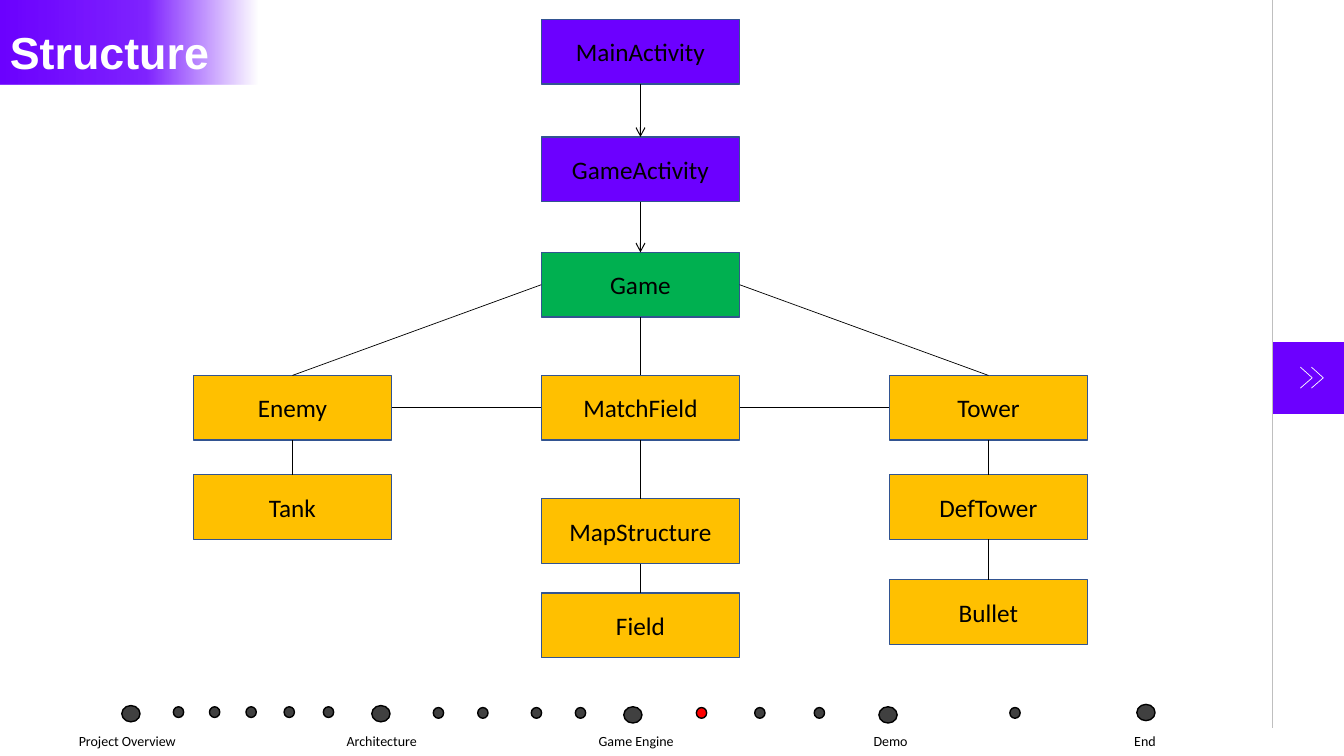
from lxml import etree
from pptx import Presentation
from pptx.dml.color import RGBColor
from pptx.enum.shapes import MSO_CONNECTOR as Line, MSO_SHAPE as Preset
from pptx.enum.text import MSO_ANCHOR as Anchor, PP_ALIGN as Align
from pptx.oxml import parse_xml
from pptx.oxml.ns import nsdecls, qn
from pptx.util import Cm, Pt

THEME = {
    "purple": "6C00FF", "green": "00B050", "amber": "FFC000", "border": "325491",
    "black": "000000", "white": "FFFFFF", "dot": "404040", "current": "FF0000",
    "divider": "BFBFBF", "heading": "Arial", "body": "Calibri",
    "title_size": 32, "class_size": 18, "section_size": 10,
    "thin": 0.5, "arrow": 0.75, "outline": 1,
}

TITLE = "Structure"
CLASSES = [
    ("MainActivity", 1, 0.49, "purple"),
    ("GameActivity", 1, 3.45, "purple"),
    ("Game", 1, 6.36, "green"),
    ("MatchField", 1, 9.46, "amber"),
    ("MapStructure", 1, 12.57, "amber"),
    ("Field", 1, 14.94, "amber"),
    ("Enemy", 0, 9.46, "amber"),
    ("Tank", 0, 11.96, "amber"),
    ("Tower", 2, 9.46, "amber"),
    ("DefTower", 2, 11.96, "amber"),
    ("Bullet", 2, 14.61, "amber"),
]
TOP, LEFT, BOTTOM, RIGHT = range(4)
LINKS = [
    ("MainActivity", BOTTOM, "GameActivity", TOP, True),
    ("GameActivity", BOTTOM, "Game", TOP, True),
    ("Game", BOTTOM, "MatchField", TOP, False),
    ("Game", LEFT, "Enemy", TOP, False),
    ("Game", RIGHT, "Tower", TOP, False),
    ("MatchField", LEFT, "Enemy", RIGHT, False),
    ("MatchField", RIGHT, "Tower", LEFT, False),
    ("MatchField", BOTTOM, "MapStructure", TOP, False),
    ("MapStructure", BOTTOM, "Field", TOP, False),
    ("Enemy", BOTTOM, "Tank", TOP, False),
    ("Tower", BOTTOM, "DefTower", TOP, False),
    ("DefTower", BOTTOM, "Bullet", TOP, False),
]
SECTIONS = ["Project Overview", "Architecture", "Game Engine", "Demo", "End"]
SECTION_DOTS = [(3.07, 17.78), (9.37, 17.78), (15.72, 17.81), (22.15, 17.81), (28.65, 17.75)]
PAGE_DOTS = [
    (17.81, [4.37, 5.28, 6.2, 7.16, 8.15]),
    (17.83, [10.92, 12.04, 13.39, 14.5, 17.55, 19.02, 20.52, 25.45]),
]
CURRENT_DOT = 17.55
FADE = [(0, "purple", 100), (57, "purple", 86), (100, "purple", 0)]

PAGE_WIDTH, PAGE_HEIGHT = 33.87, 19.05
SIDE_LEFT, BUTTON_TOP, BUTTON_SIZE = 32.06, 8.62, 1.81
BOX_WIDTH, BOX_HEIGHT, FIRST_COLUMN, COLUMN_STEP = 5, 1.63, 4.87, 8.77


def color(name):
    return RGBColor.from_string(THEME[name])


def add_box(page, preset, place, fill, border=None):
    box = page.shapes.add_shape(preset, *map(Cm, place))
    box.shadow.inherit = False
    box.fill.solid()
    box.fill.fore_color.rgb = color(fill)
    if border:
        box.line.color.rgb = color(border)
        box.line.width = Pt(THEME["outline"])
    else:
        box.line.fill.background()
    return box


def add_text(frame, text, face, size, ink, bold=False, align=Align.CENTER):
    para = frame.paragraphs[0]
    para.alignment = align
    span = para.add_run()
    span.text = text
    formats = {"name": THEME[face], "size": Pt(THEME[size]), "bold": bold}
    for key, value in formats.items():
        setattr(span.font, key, value)
    span.font.color.rgb = color(ink)


def add_line(page, ends, ink, weight, arrow=False):
    line = page.shapes.add_connector(Line.STRAIGHT, *map(Cm, ends))
    line.line.color.rgb = color(ink)
    line.line.width = Pt(THEME[weight])
    etree.SubElement(line._element.spPr, qn("a:effectLst"))
    if arrow:
        etree.SubElement(line.line._get_or_add_ln(), qn("a:tailEnd"), type="arrow")
    return line


def add_side(page):
    add_box(page, Preset.RECTANGLE, (SIDE_LEFT, BUTTON_TOP, BUTTON_SIZE, BUTTON_SIZE), "purple")
    for left in (32.77, 33.05):
        for outer in (9.25, 9.78):
            add_line(page, (left, outer, left + 0.3, 9.52), "white", "thin")
    add_line(page, (SIDE_LEFT, 0, SIDE_LEFT, PAGE_HEIGHT), "divider", "thin")


def add_title(page):
    band = add_box(page, Preset.RECTANGLE, (0, 0, 6.48, 2.13), "purple")
    stops = "".join(
        f'<a:gs pos="{spot * 1000}"><a:srgbClr val="{THEME[name]}">'
        f'<a:alpha val="{alpha * 1000}"/></a:srgbClr></a:gs>'
        for spot, name, alpha in FADE
    )
    gradient = parse_xml(
        f'<a:gradFill {nsdecls("a")} rotWithShape="1"><a:gsLst>{stops}</a:gsLst>'
        '<a:lin ang="0" scaled="0"/></a:gradFill>'
    )
    properties = band._element.spPr
    properties.replace(properties.find(qn("a:solidFill")), gradient)
    title = page.shapes.add_textbox(*map(Cm, (0, 0.49, 5.97, 1.63)))
    title.text_frame.word_wrap = True
    add_text(title.text_frame, TITLE, "heading", "title_size", "white", True, Align.LEFT)


def add_diagram(page):
    boxes = {}
    for name, column, top, fill in CLASSES:
        place = (FIRST_COLUMN + column * COLUMN_STEP, top, BOX_WIDTH, BOX_HEIGHT)
        box = add_box(page, Preset.RECTANGLE, place, fill, "border")
        box.text_frame.vertical_anchor = Anchor.MIDDLE
        add_text(box.text_frame, name, "body", "class_size", "black")
        boxes[name] = box
    for source, source_side, target, target_side, arrow in LINKS:
        line = add_line(page, (0, 0, 0, 0), "black", "arrow" if arrow else "thin", arrow)
        line.begin_connect(boxes[source], source_side)
        line.end_connect(boxes[target], target_side)


def add_progress(page):
    for left, top in SECTION_DOTS:
        add_box(page, Preset.OVAL, (left, top, 0.46, 0.41), "dot", "black")
    for top, lefts in PAGE_DOTS:
        for left in lefts:
            fill = "current" if left == CURRENT_DOT else "dot"
            add_box(page, Preset.OVAL, (left, top, 0.26, 0.27), fill, "black")
    place = (0, 18.36, SIDE_LEFT, 0.69)
    table = page.shapes.add_table(1, len(SECTIONS), *map(Cm, place)).table
    table.first_row = table.horz_banding = False
    for cell, section in zip(table.rows[0].cells, SECTIONS):
        cell.fill.background()
        add_text(cell.text_frame, section, "body", "section_size", "black")


def main():
    deck = Presentation()
    deck.slide_width, deck.slide_height = Cm(PAGE_WIDTH), Cm(PAGE_HEIGHT)
    page = deck.slides.add_slide(deck.slide_layouts[6])
    add_side(page)
    add_title(page)
    add_diagram(page)
    add_progress(page)
    deck.save("out.pptx")


if __name__ == "__main__":
    main()
